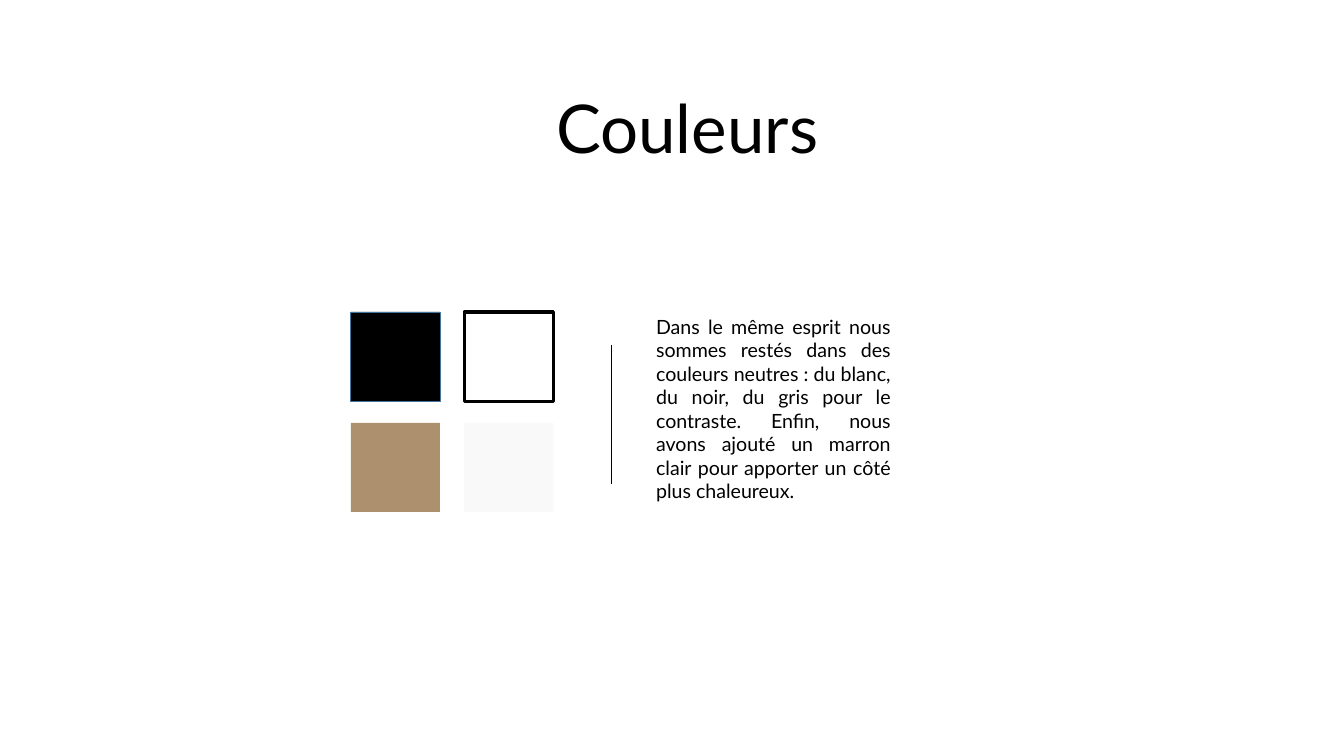
from dataclasses import dataclass
from typing import Optional

from lxml import etree
from pptx import Presentation
from pptx.dml.color import RGBColor
from pptx.enum.shapes import MSO_CONNECTOR, MSO_SHAPE
from pptx.enum.text import MSO_AUTO_SIZE, PP_ALIGN
from pptx.oxml.ns import qn
from pptx.slide import Slide
from pptx.util import Pt

RECTANGLE = MSO_SHAPE.RECTANGLE
STRAIGHT = MSO_CONNECTOR.STRAIGHT
GROW = MSO_AUTO_SIZE.SHAPE_TO_FIT_TEXT
CENTER, JUSTIFY = PP_ALIGN.CENTER, PP_ALIGN.JUSTIFY

FONT = "Lato"
COLORS = {
    "black": "000000",
    "white": "FFFFFF",
    "brown": "AD906E",
    "gray": "F9F9F9",
    "blue": "43739E",
}
GRID_LEFT, GRID_TOP = 501.1, 445.7
SWATCH_SIZE = 127.4
COLUMN_STEP, ROW_STEP = 162, 158.4
COLUMNS = 2


@dataclass
class Swatch:
    fill: str
    line: Optional[str] = None
    width: float = 0


@dataclass
class Label:
    text: str
    left: float
    top: float
    width: float
    height: float
    size: float
    align: PP_ALIGN


SWATCHES = [
    Swatch("black", "blue", 1),
    Swatch("white", "black", 4.5),
    Swatch("brown"),
    Swatch("gray"),
]
LABELS = [
    Label("Couleurs", 684, 120.2, 595.4, 123.8, 96, CENTER),
    Label(
        "Dans le même esprit nous sommes restés dans des couleurs neutres : "
        "du blanc, du noir, du gris pour le contraste. Enfin, nous avons ajouté "
        "un marron clair pour apporter un côté plus chaleureux.",
        930.2, 445.7, 349.2, 278.6, 28, JUSTIFY,
    ),
]


def rgb(name: str) -> RGBColor:
    return RGBColor.from_string(COLORS[name])


def draw_swatch(s: Slide, swatch: Swatch, index: int) -> None:
    row, column = divmod(index, COLUMNS)
    sp = s.shapes.add_shape(
        RECTANGLE,
        Pt(GRID_LEFT + column * COLUMN_STEP), Pt(GRID_TOP + row * ROW_STEP),
        Pt(SWATCH_SIZE), Pt(SWATCH_SIZE),
    )
    sp.shadow.inherit = False
    sp.fill.solid()
    sp.fill.fore_color.rgb = rgb(swatch.fill)
    if swatch.line:
        sp.line.color.rgb = rgb(swatch.line)
        sp.line.width = Pt(swatch.width)
    else:
        sp.line.fill.background()


def draw_label(s: Slide, label: Label) -> None:
    sp = s.shapes.add_textbox(
        Pt(label.left), Pt(label.top), Pt(label.width), Pt(label.height)
    )
    tf = sp.text_frame
    tf.word_wrap = True
    tf.auto_size = GROW
    tf.text = label.text
    p = tf.paragraphs[0]
    p.alignment = label.align
    r = p.runs[0]
    r.font.name = FONT
    r.font.size = Pt(label.size)
    r.font.color.rgb = rgb("black")


def draw_divider(s: Slide, x: float, top: float, bottom: float) -> None:
    line = s.shapes.add_connector(STRAIGHT, Pt(x), Pt(top), Pt(x), Pt(bottom))
    line.line.color.rgb = rgb("black")
    line.line.width = Pt(0.5)
    etree.SubElement(line._element.spPr, qn("a:effectLst"))


def main() -> None:
    prs = Presentation()
    prs.slide_width, prs.slide_height = Pt(1920), Pt(1080)
    s = prs.slides.add_slide(prs.slide_layouts[6])
    title, description = LABELS
    draw_label(s, title)
    for index, swatch in enumerate(SWATCHES):
        draw_swatch(s, swatch, index)
    draw_label(s, description)
    draw_divider(s, 872.6, 493.2, 691.2)
    prs.save("out.pptx")


if __name__ == "__main__":
    main()
